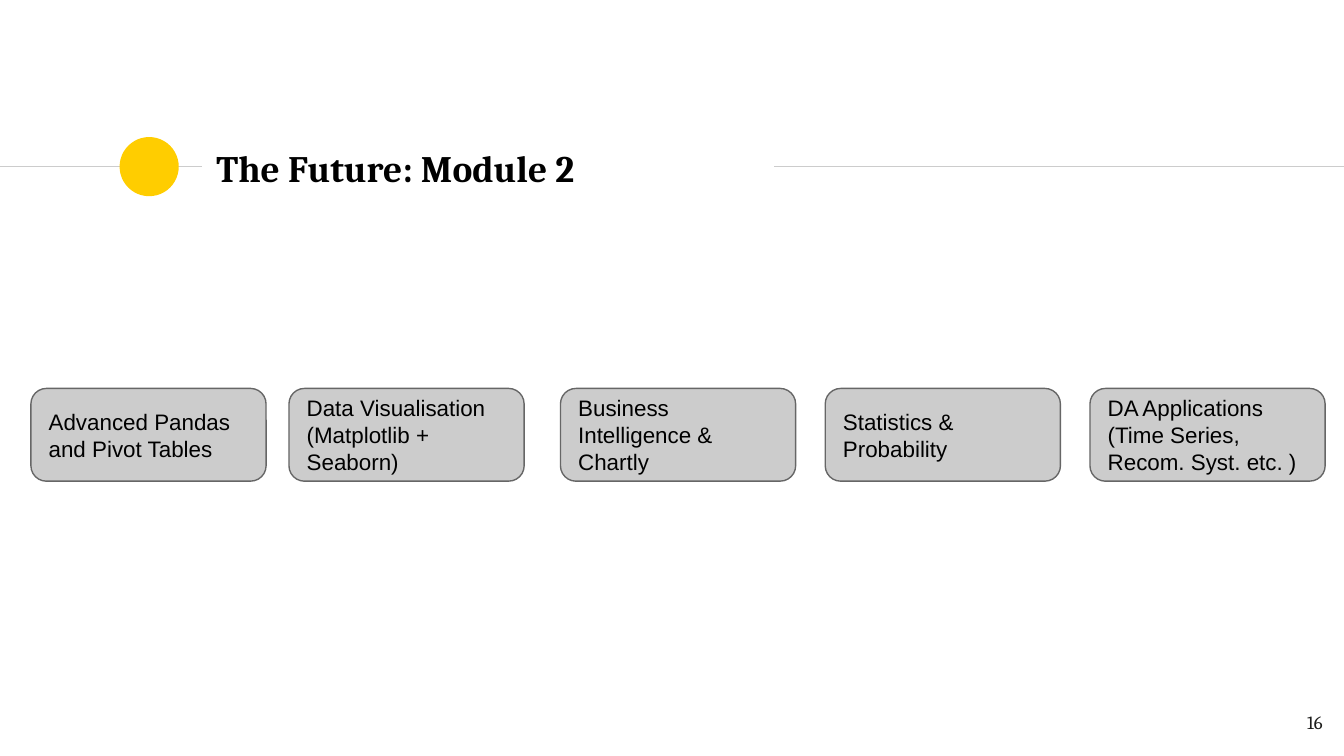
from dataclasses import dataclass

from lxml.etree import SubElement
from pptx import Presentation
from pptx.dml.color import RGBColor
from pptx.enum.shapes import MSO_CONNECTOR, MSO_SHAPE
from pptx.enum.text import MSO_ANCHOR, MSO_AUTO_SIZE, PP_ALIGN
from pptx.oxml.ns import qn
from pptx.slide import Slide
from pptx.text.text import TextFrame
from pptx.util import Inches, Pt

YELLOW = RGBColor(0xFF, 0xCD, 0x00)
LIGHT_GREY = RGBColor(0xCC, 0xCC, 0xCC)
BORDER_GREY = RGBColor(0x66, 0x66, 0x66)
BLACK = RGBColor(0x00, 0x00, 0x00)
NUMBER_BLACK = RGBColor(0x1D, 0x1D, 0x1B)

SLIDE_WIDTH = Inches(10)
SLIDE_HEIGHT = SLIDE_WIDTH * 9 // 16
RULE_TOP = Inches(1.24)
DOT_SIZE = Inches(0.44)
TOPIC_TOP, TOPIC_WIDTH, TOPIC_HEIGHT = Inches(2.89), Inches(1.75), Inches(0.69)
INSET = Inches(0.1)


@dataclass(frozen=True)
class TextStyle:
    font: str
    size: float
    color: RGBColor
    bold: bool = False
    align: PP_ALIGN = PP_ALIGN.LEFT
    anchor: MSO_ANCHOR = MSO_ANCHOR.MIDDLE


@dataclass(frozen=True)
class Topic:
    left: float  # share of the slide's width
    label: str


TITLE_STYLE = TextStyle("Cambria", 20, BLACK, bold=True)
NUMBER_STYLE = TextStyle("Cambria", 10, NUMBER_BLACK,
                         align=PP_ALIGN.RIGHT, anchor=MSO_ANCHOR.TOP)
TOPIC_STYLE = TextStyle("Arial", 12, BLACK)

RULES = [(0, 0.15), (0.576, 1)]  # start and end as shares of the width
TOPICS = [
    Topic(0.023, "Advanced Pandas and Pivot Tables"),
    Topic(0.215, "Data Visualisation (Matplotlib + Seaborn)"),
    Topic(0.614, "Statistics & Probability"),
    Topic(0.417, "Business Intelligence & Chartly"),
    Topic(0.811, "DA Applications (Time Series, Recom. Syst. etc. )"),
]


def across(share: float) -> int:
    return int(SLIDE_WIDTH * share)


def write(frame: TextFrame, text: str, style: TextStyle) -> None:
    frame.word_wrap = True
    frame.auto_size = MSO_AUTO_SIZE.NONE
    frame.vertical_anchor = style.anchor
    frame.margin_left = frame.margin_right = INSET
    frame.margin_top = frame.margin_bottom = INSET
    paragraph = frame.paragraphs[0]
    paragraph.alignment = style.align
    run = paragraph.add_run()
    run.text = text
    run.font.name = style.font
    run.font.size = Pt(style.size)
    run.font.bold = style.bold
    run.font.color.rgb = style.color


def add_rule(slide: Slide, start: float, end: float) -> None:
    rule = slide.shapes.add_connector(
        MSO_CONNECTOR.STRAIGHT, across(start), RULE_TOP, across(end), RULE_TOP)
    rule.line.color.rgb = LIGHT_GREY
    rule.line.width = Pt(0.75)
    SubElement(rule.element.spPr, qn("a:effectLst"))


def add_dot(slide: Slide) -> None:
    dot = slide.shapes.add_shape(
        MSO_SHAPE.OVAL, across(0.089), RULE_TOP - DOT_SIZE // 2, DOT_SIZE, DOT_SIZE)
    dot.shadow.inherit = False
    dot.fill.solid()
    dot.fill.fore_color.rgb = YELLOW
    dot.line.fill.background()


def add_title(slide: Slide, text: str) -> None:
    title = slide.shapes.title
    title.left, title.top = across(0.151), Inches(1.01)
    title.width, title.height = across(0.424), Inches(0.48)
    write(title.text_frame, text, TITLE_STYLE)


def add_topic(slide: Slide, topic: Topic) -> None:
    box = slide.shapes.add_shape(
        MSO_SHAPE.ROUNDED_RECTANGLE, across(topic.left), TOPIC_TOP,
        TOPIC_WIDTH, TOPIC_HEIGHT)
    box.shadow.inherit = False
    box.fill.solid()
    box.fill.fore_color.rgb = LIGHT_GREY
    box.line.color.rgb = BORDER_GREY
    box.line.width = Pt(0.75)
    write(box.text_frame, topic.label, TOPIC_STYLE)


def add_page_number(slide: Slide, number: str) -> None:
    box = slide.shapes.add_textbox(
        across(0.934), Inches(5.19), across(0.06), Inches(0.43))
    write(box.text_frame, number, NUMBER_STYLE)


def main() -> None:
    presentation = Presentation()
    presentation.slide_width = SLIDE_WIDTH
    presentation.slide_height = SLIDE_HEIGHT
    slide = presentation.slides.add_slide(presentation.slide_layouts[5])
    for start, end in RULES:
        add_rule(slide, start, end)
    add_dot(slide)
    add_title(slide, "The Future: Module 2")
    add_page_number(slide, "16")
    for topic in TOPICS:
        add_topic(slide, topic)
    presentation.save("out.pptx")


if __name__ == "__main__":
    main()
